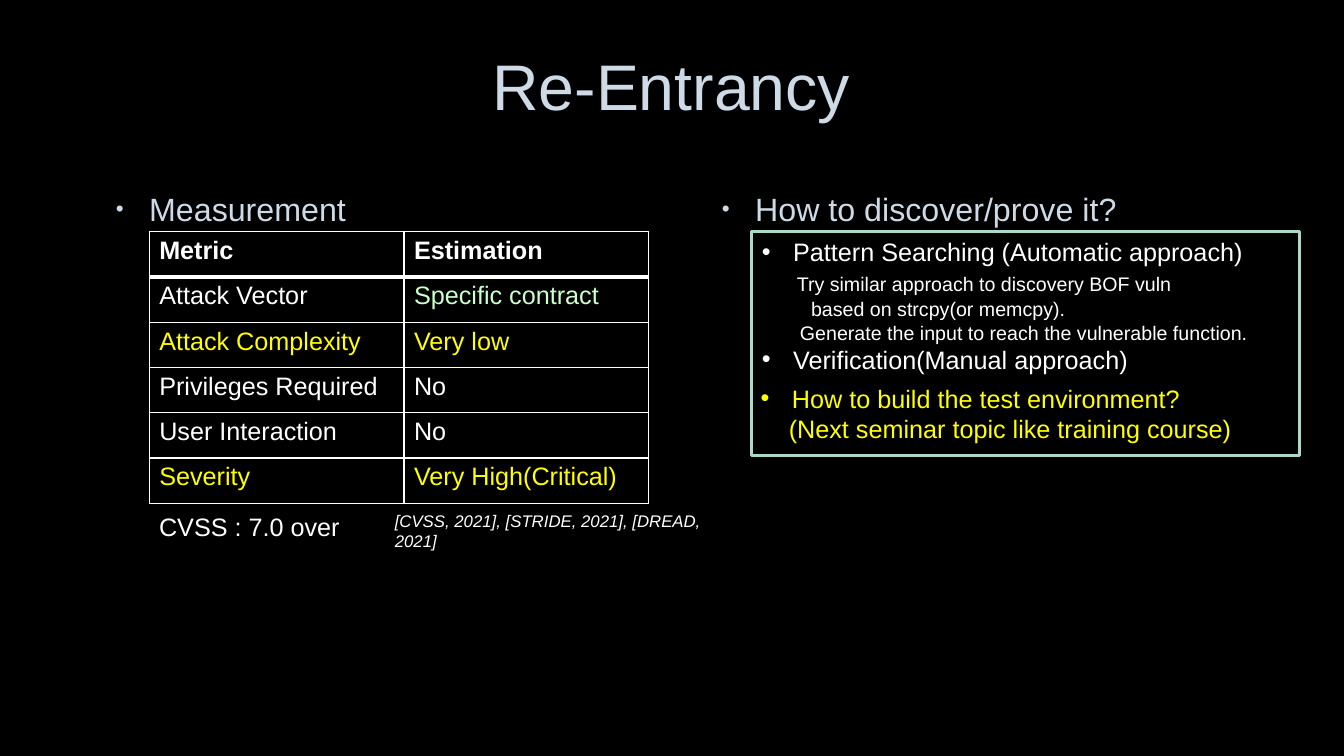
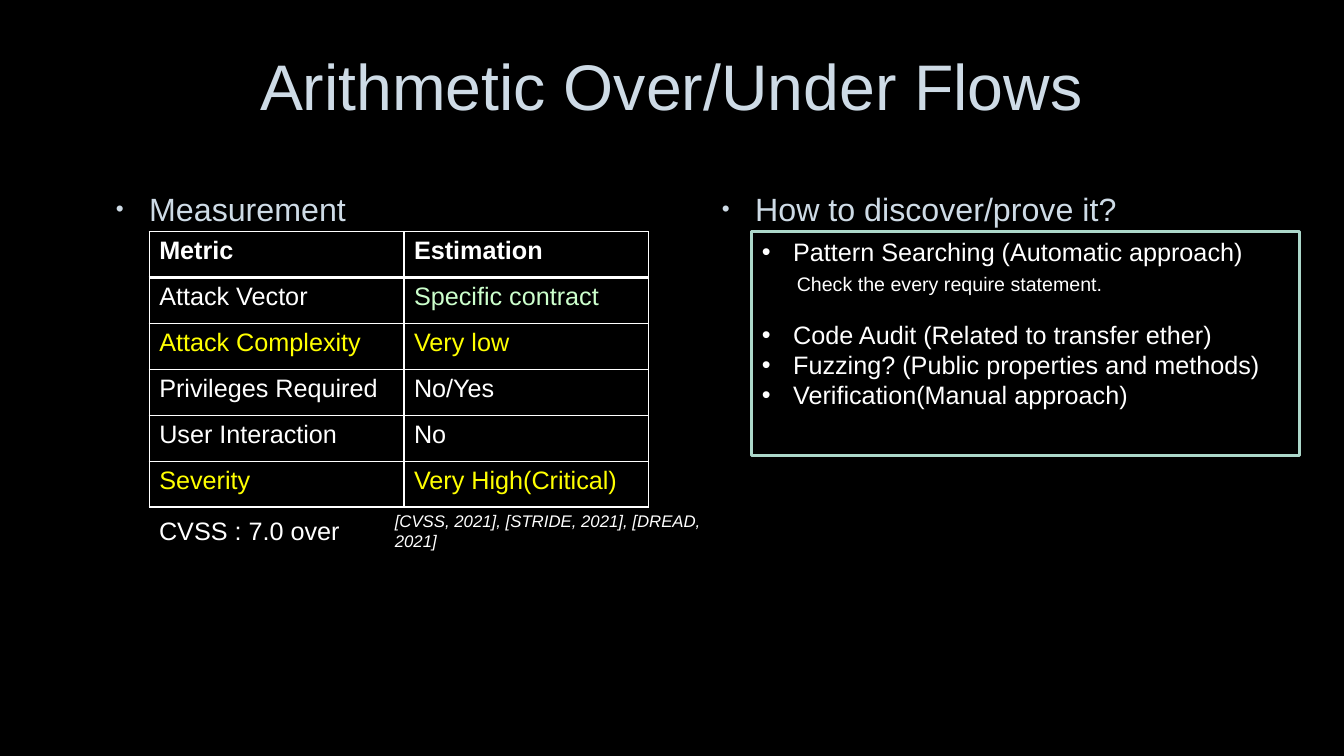
from dataclasses import dataclass

from lxml import etree
from pptx import Presentation
from pptx import util as u
from pptx.dml.color import RGBColor
from pptx.enum import shapes, text
from pptx.oxml import ns


@dataclass(frozen=True)
class Theme:
    font: str = "Arial"
    background: str = "000000"
    heading: str = "CEDBE6"
    body: str = "FFFFFF"
    alert: str = "FFFF00"
    good: str = "CCFFCC"
    frame: str = "ACD7CA"
    title_size: int = 46
    heading_size: int = 23
    body_size: int = 18
    detail_size: int = 14
    citation_size: int = 12


@dataclass(frozen=True)
class Box:
    """A place on the page, in centimetres."""
    left: float
    top: float
    width: float
    height: float

    def lengths(self):
        return [u.Cm(value) for value in (self.left, self.top, self.width, self.height)]


THEME = Theme()


@dataclass(frozen=True)
class Line:
    """One paragraph: indent in centimetres, spacing in points."""
    words: str
    size: int = THEME.body_size
    color: str = THEME.body
    bullet: bool = False
    bullet_percent: int = 100
    indent: float = 0
    hanging: float = 0
    before: float = 0
    after: float = 0
    italic: bool = False


def bullet_line(words, color=THEME.body):
    return Line(words, color=color, bullet=True, indent=0.79, hanging=0.79)


def detail_line(words, indent, before=0, after=0):
    return Line(words, THEME.detail_size, indent=indent, before=before, after=after)


def style_run(span, size, color, bold=False, italic=False):
    span.font.name = THEME.font
    span.font.size = u.Pt(size)
    span.font.bold = bold
    span.font.italic = italic
    span.font.color.rgb = RGBColor.from_string(color)


def add_bullet(para, percent):
    properties = para._p.get_or_add_pPr()
    for tag, name, value in (("a:buSzPct", "val", str(percent * 1000)),
                             ("a:buFont", "typeface", THEME.font),
                             ("a:buChar", "char", "•")):
        etree.SubElement(properties, ns.qn(tag)).set(name, value)


def add_lines(page, box, lines):
    """Add a wrapping text box with one paragraph for each line."""
    frame = page.shapes.add_textbox(*box.lengths()).text_frame
    frame.word_wrap = True
    frame.text = "\n".join(line.words for line in lines)
    for para, line in zip(frame.paragraphs, lines):
        properties = para._p.get_or_add_pPr()
        properties.set("marL", str(u.Cm(line.indent)))
        properties.set("indent", str(-u.Cm(line.hanging)))
        if line.bullet:
            add_bullet(para, line.bullet_percent)
        para.space_before = u.Pt(line.before)
        para.space_after = u.Pt(line.after)
        style_run(para.runs[0], line.size, line.color, italic=line.italic)
    return frame


def add_title(page, box, words):
    frame = add_lines(page, box, [Line(words, THEME.title_size, THEME.heading)])
    frame.vertical_anchor = text.MSO_ANCHOR.MIDDLE
    frame.paragraphs[0].alignment = text.PP_ALIGN.CENTER
    frame.paragraphs[0].line_spacing = 0.9


def add_heading(page, box, words):
    add_lines(page, box, [Line(words, THEME.heading_size, THEME.heading, bullet=True,
                               bullet_percent=70, indent=0.97, hanging=0.84)])


def set_borders(cell, bottom_width):
    properties = cell._tc.get_or_add_tcPr()
    widths = {"a:lnL": 1, "a:lnR": 1, "a:lnT": 1, "a:lnB": bottom_width}
    for position, (tag, width) in enumerate(widths.items()):
        border = etree.Element(ns.qn(tag), w=str(u.Pt(width)))
        fill = etree.SubElement(border, ns.qn("a:solidFill"))
        etree.SubElement(fill, ns.qn("a:srgbClr")).set("val", THEME.body)
        properties.insert(position, border)


def add_metric_table(page, box, privileges):
    rows = [("Metric", "Estimation", THEME.body, THEME.body),
            ("Attack Vector", "Specific contract", THEME.body, THEME.good),
            ("Attack Complexity", "Very low", THEME.alert, THEME.alert),
            ("Privileges Required", privileges, THEME.body, THEME.body),
            ("User Interaction", "No", THEME.body, THEME.body),
            ("Severity", "Very High(Critical)", THEME.alert, THEME.alert)]
    table = page.shapes.add_table(len(rows), 2, *box.lengths()).table
    table.first_row = table.horz_banding = False
    metric_width = 6.42
    table.columns[0].width = u.Cm(metric_width)
    table.columns[1].width = u.Cm(box.width - metric_width)
    for row_index, (metric, estimate, *colors) in enumerate(rows):
        is_header = row_index == 0
        for column, (words, color) in enumerate(zip((metric, estimate), colors)):
            cell = table.cell(row_index, column)
            cell.text = words
            cell.fill.background()
            style_run(cell.text_frame.paragraphs[0].runs[0], THEME.body_size, color, is_header)
            set_borders(cell, 3 if is_header else 1)


def add_measurement(page, box, privileges, table_height):
    """Place the heading, metric table, score and citations."""
    add_heading(page, Box(box.left, box.top, box.width, 1.2), "Measurement")
    table_box = Box(box.left + 1.22, box.top + 1.19, 12.58, table_height)
    add_metric_table(page, table_box, privileges)
    score_top = table_box.top + table_height + 0.08
    add_lines(page, Box(table_box.left, score_top, 9.37, 1.02), [Line("CVSS : 7.0 over")])
    add_lines(page, Box(box.left + 7.16, box.top + 8.1, 9.22, 0.76),
              [Line("[CVSS, 2021], [STRIDE, 2021], [DREAD, 2021]",
                    THEME.citation_size, italic=True)])


def add_discovery(page, box, methods, next_steps):
    """Place the heading and the framed list of methods."""
    add_heading(page, Box(box.left, box.top, 13.49, 1.2), "How to discover/prove it?")
    panel_box = Box(box.left + 1.14, box.top + 1.19, box.width - 1.14, 5.64)
    panel = page.shapes.add_shape(shapes.MSO_SHAPE.RECTANGLE, *panel_box.lengths())
    panel.shadow.inherit = False
    panel.fill.background()
    panel.line.color.rgb = RGBColor.from_string(THEME.frame)
    panel.line.width = u.Pt(2.25)
    add_lines(page, Box(panel_box.left, panel_box.top, panel_box.width, 3.76), methods)
    if next_steps:
        add_lines(page, Box(panel_box.left - 0.03, panel_box.top + 3.69, panel_box.width, 1.8),
                  next_steps)


def add_vulnerability_page(deck, title, privileges, table_height, methods, next_steps=()):
    page = deck.slides.add_slide(deck.slide_layouts[6])
    page.background.fill.solid()
    page.background.fill.fore_color.rgb = RGBColor.from_string(THEME.background)
    add_title(page, Box(2.54, 0.51, 28.75, 3.5), title)
    add_measurement(page, Box(2.54, 4.65, 13.49, 9), privileges, table_height)
    add_discovery(page, Box(17.81, 4.65, 14.93, 7), methods, next_steps)


def main():
    deck = Presentation()
    deck.slide_width, deck.slide_height = u.Cm(33.87), u.Cm(19.05)
    pattern_search = bullet_line("Pattern Searching (Automatic approach)")
    verification = bullet_line("Verification(Manual approach)")
    add_vulnerability_page(
        deck, "Re-Entrancy", "No", 6.84,
        [pattern_search,
         detail_line("Try similar approach to discovery BOF vuln", 0.88, before=3.6, after=1),
         detail_line("based on strcpy(or memcpy).", 1.24),
         detail_line("Generate the input to reach the vulnerable function.", 0.96),
         verification],
        [bullet_line("How to build the test environment?", THEME.alert),
         Line("(Next seminar topic like training course)", color=THEME.alert, indent=0.71)])
    add_vulnerability_page(
        deck, "Arithmetic Over/Under Flows", "No/Yes", 6.94,
        [pattern_search,
         detail_line("Check the every require statement.", 0.88, before=3.6, after=17),
         bullet_line("Code Audit (Related to transfer ether)"),
         bullet_line("Fuzzing? (Public properties and methods)"),
         verification])
    deck.save("out.pptx")


if __name__ == "__main__":
    main()
